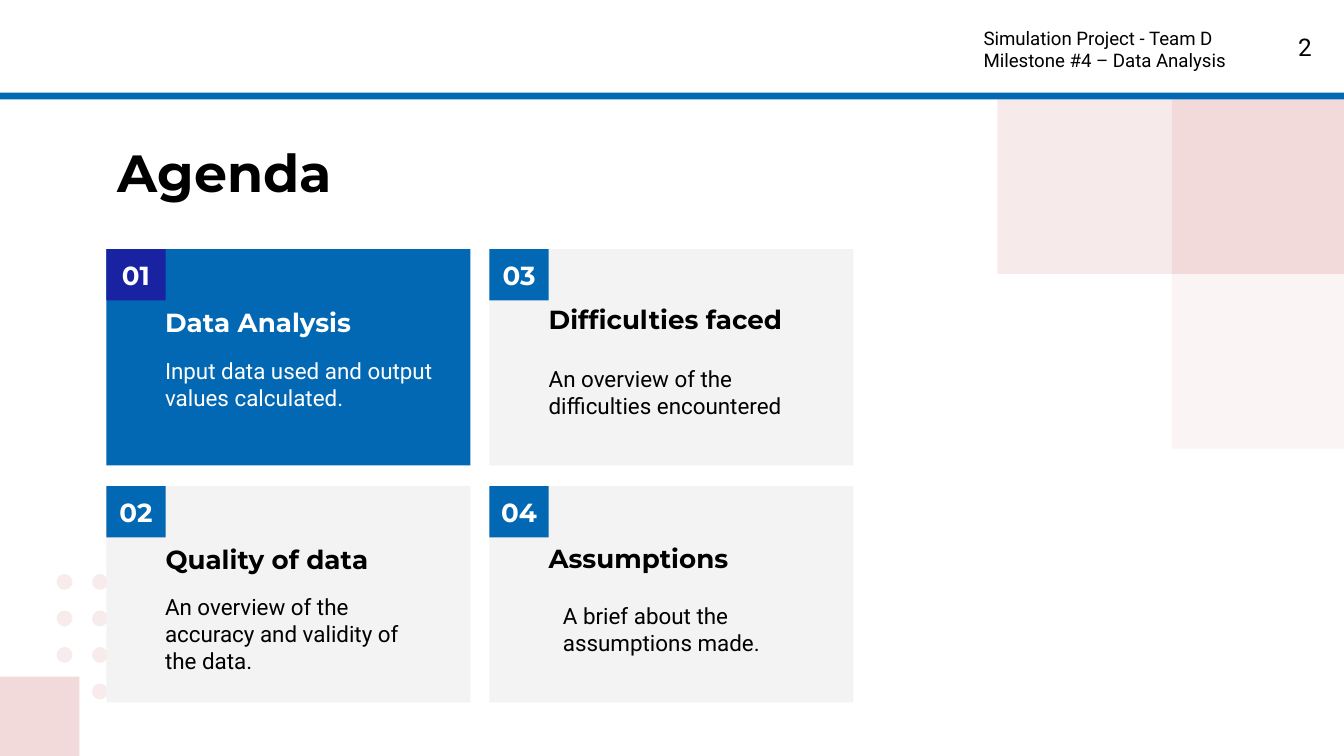
"""Build the agenda slide of a simulation project deck."""
from itertools import product

from lxml import etree
from pptx import Presentation
from pptx import util as u
from pptx.dml import color
from pptx.enum import shapes, text
from pptx.oxml import ns

BLACK, WHITE, GREY = "000000", "FFFFFF", "F3F3F3"
BLUE, NAVY, PINK, PALE_PINK = "0268B4", "1922A1", "F2DADA", "F7EBEB"
HEADING_FONT, BODY_FONT = "Montserrat", "Roboto"
CARD_WIDTH, CARD_HEIGHT = 6.88, 4.09
LEFT, RIGHT, TOP, BOTTOM = 2.01, 9.25, 4.71, 9.19


def rgb(value):
    """Turn a hex string into a colour."""
    return color.RGBColor.from_string(value)


class SlideBuilder:
    """Hold the style and the current slide."""

    def __init__(self, presentation):
        """Add a slide with a title placeholder."""
        self.slide = presentation.slides.add_slide(presentation.slide_layouts[5])

    def block(self, box, fill, kind=shapes.MSO_SHAPE.RECTANGLE, opacity=100):
        """Add a plain filled shape."""
        shape = self.slide.shapes.add_shape(kind, *map(u.Cm, box))
        shape.shadow.inherit = False
        shape.fill.solid()
        shape.fill.fore_color.rgb = rgb(fill)
        shape.line.fill.background()
        if opacity < 100:
            value = shape.element.spPr.find(".//" + ns.qn("a:srgbClr"))
            etree.SubElement(value, ns.qn("a:alpha"), val=str(opacity * 1000))
        return shape

    def set_text(self, shape, lines, size, font=BODY_FONT, ink=BLACK, bold=False,
                 align=text.PP_ALIGN.LEFT, anchor=text.MSO_ANCHOR.TOP, side=0.25, after=0):
        """Fill a shape with one paragraph for each line."""
        frame = shape.text_frame
        frame.word_wrap = True
        frame.auto_size = text.MSO_AUTO_SIZE.NONE
        frame.vertical_anchor = anchor
        frame.margin_left = frame.margin_right = u.Cm(side)
        frame.margin_top = frame.margin_bottom = u.Cm(0.25)
        for index, line in enumerate(lines):
            paragraph = frame.add_paragraph() if index else frame.paragraphs[0]
            paragraph.alignment = align
            paragraph.space_after = u.Pt(after)
            run = paragraph.add_run()
            run.text = line
            run.font.size = u.Pt(size)
            run.font.name = font
            run.font.bold = bold
            run.font.color.rgb = rgb(ink)

    def label(self, box, lines, size, **style):
        """Add a text box."""
        self.set_text(self.slide.shapes.add_textbox(*map(u.Cm, box)), lines, size, **style)

    def title(self, box, line):
        """Place and fill the title placeholder."""
        shape = self.slide.shapes.title
        shape.left, shape.top, shape.width, shape.height = map(u.Cm, box)
        self.set_text(shape, [line], 28, font=HEADING_FONT, bold=True)

    def card(self, corner, number, heading, heading_at, detail, detail_at,
             fill=GREY, badge=BLUE, ink=BLACK):
        """Add a numbered agenda card."""
        self.block((*corner, CARD_WIDTH, CARD_HEIGHT), fill)
        self.set_text(self.block((*corner, 1.12, 0.97), badge), [number], 14,
                      font=HEADING_FONT, ink=WHITE, bold=True, side=0,
                      align=text.PP_ALIGN.CENTER, anchor=text.MSO_ANCHOR.MIDDLE)
        self.label((*heading_at, 5.16, 0.97), [heading], 14,
                   font=HEADING_FONT, ink=ink, bold=True, after=8)
        self.label((*detail_at, 5.56, 1.8), [detail], 12, ink=ink, after=8)

    def decoration(self):
        """Add the dots, the pink squares and the header bar."""
        for row, column in product(range(4), range(2)):
            if (row, column) != (3, 0):
                self.block((1.07 + 0.67 * column, 10.85 + 0.69 * row, 0.3, 0.3),
                           PALE_PINK, shapes.MSO_SHAPE.OVAL)
        self.block((0, 12.79, 1.5, 1.5), PINK)
        for left, top, opacity in ((22.15, 1.88, 100), (22.15, 5.18, 28), (18.85, 1.88, 55)):
            self.block((left, top, 3.3, 3.3), PINK, opacity=opacity)
        self.block((0, 0, 25.4, 1.75), WHITE)
        self.block((0, 1.75, 25.4, 0.13), BLUE)


def main():
    """Build and save the presentation."""
    presentation = Presentation()
    presentation.slide_width, presentation.slide_height = u.Cm(25.4), u.Cm(14.29)
    builder = SlideBuilder(presentation)
    builder.decoration()
    builder.label((23.52, 0.36, 1.52, 1.09), ["2"], 13, align=text.PP_ALIGN.RIGHT)
    builder.label((18.34, 0.25, 5.92, 1.42),
                  ["Simulation Project - Team D", "Milestone #4 – Data Analysis"], 10)
    builder.title((1.98, 2.41, 21.44, 1.6), "Agenda")
    builder.card((LEFT, TOP), "01", "Data Analysis", (2.87, 5.54),
                 "Input data used and output values calculated.", (2.87, 6.5),
                 fill=BLUE, badge=NAVY, ink=WHITE)
    builder.card((LEFT, BOTTOM), "02", "Quality of data", (2.88, 10.03),
                 "An overview of the accuracy and validity of the data.", (2.87, 10.97))
    builder.card((RIGHT, TOP), "03", "Difficulties faced", (10.12, 5.49),
                 "An overview of the difficulties encountered", (10.12, 6.65))
    builder.card((RIGHT, BOTTOM), "04", "Assumptions", (10.12, 10.01),
                 "A brief about the assumptions made.", (10.39, 11.13))
    presentation.save("out.pptx")


if __name__ == "__main__":
    main()
